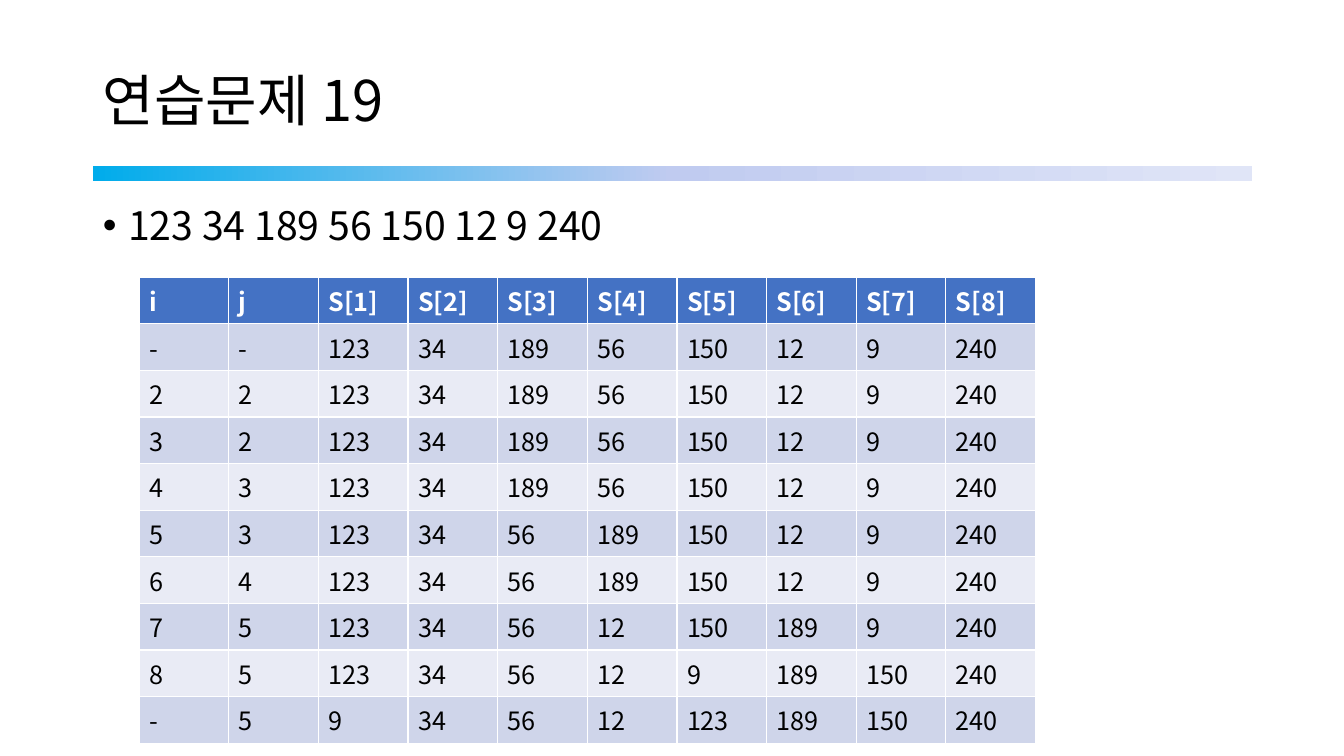
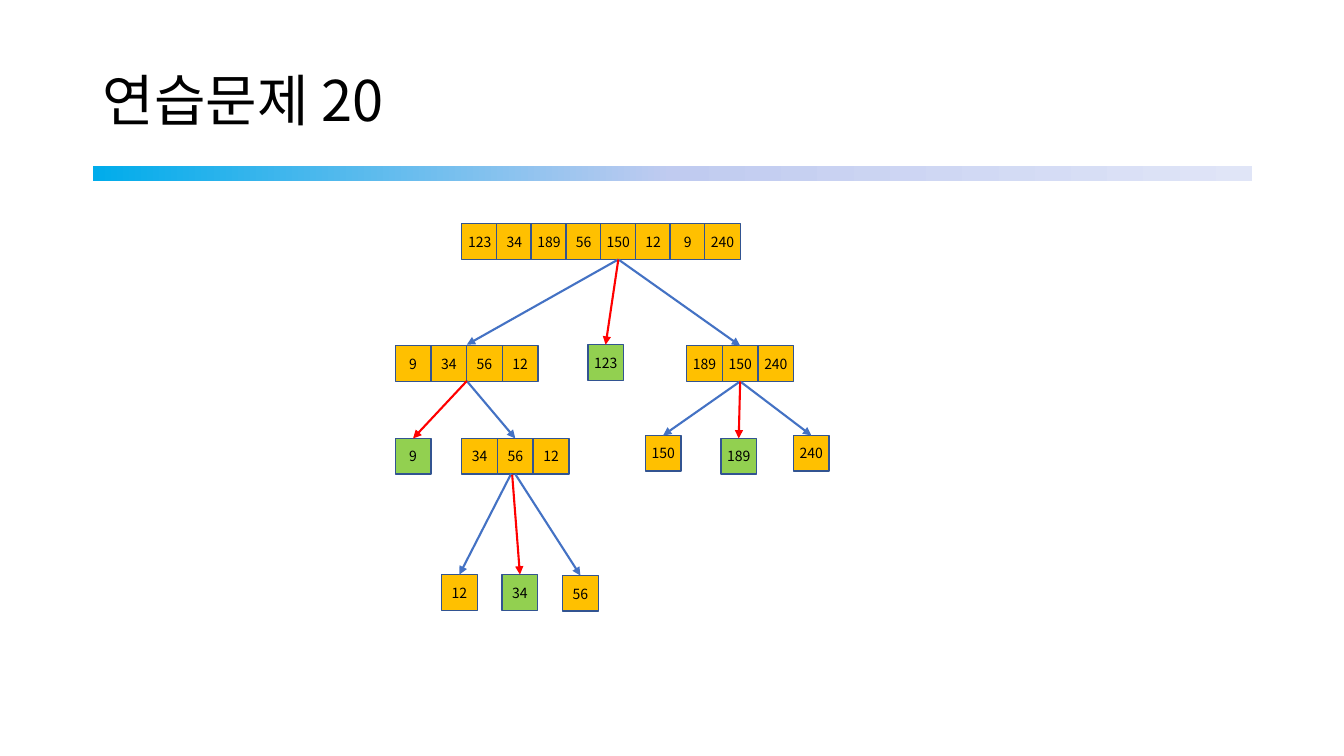
from copy import deepcopy
from dataclasses import dataclass

from lxml.etree import SubElement
from pptx import Presentation
from pptx.dml.color import RGBColor
from pptx.enum.shapes import MSO_CONNECTOR as Connector, MSO_SHAPE as Shape
from pptx.enum.text import MSO_ANCHOR as Anchor, MSO_AUTO_SIZE as AutoSize, PP_ALIGN as Align
from pptx.oxml.ns import qn
from pptx.util import Inches, Pt


@dataclass(frozen=True)
class Theme:
    font: str = "Noto Sans CJK KR"
    ink: str = "000000"
    white: str = "FFFFFF"
    band: tuple = ((0, "00ACEB"), (0.5, "C0CBF0"), (1, "E0E5F7"))
    header: str = "4472C4"
    stripes: tuple = ("CFD5EA", "E9EBF5")
    box: str = "FFC000"
    pivot: str = "92D050"
    outline: str = "325491"
    branch: str = "4472C4"
    pivot_branch: str = "FF0000"
    title_size: int = 40
    body_size: int = 28
    table_size: int = 18
    box_size: int = 10


def grid(steps):
    """Length of a number of grid steps, ten to the inch."""
    return Inches(steps / 10)


def color(value):
    return RGBColor.from_string(value)


class Deck:
    LEFT, WIDTH = 9.2, 115
    BOX = 3.54

    def __init__(self, theme):
        self.theme = theme
        self.presentation = Presentation()
        self.presentation.slide_width = Inches(13.33)
        self.presentation.slide_height = Inches(7.5)
        self.layout = self.presentation.slide_layouts[1]
        self.slide = None
        self.place_layout()

    def place_layout(self):
        """Title and body areas that every slide inherits."""
        title, body = list(self.layout.placeholders)[:2]
        for placeholder, top, height in ((title, 4, 12.5), (body, 20, 47.6)):
            placeholder.left, placeholder.top = grid(self.LEFT), grid(top)
            placeholder.width, placeholder.height = grid(self.WIDTH), grid(height)

    def style(self, paragraph, size, ink=None, bold=False):
        font = paragraph.font
        font.name, font.size, font.bold = self.theme.font, Pt(size), bold
        font.color.rgb = color(ink or self.theme.ink)
        # East Asian text needs its own typeface entry
        properties = paragraph._p.get_or_add_pPr().find(qn("a:defRPr"))
        SubElement(properties, qn("a:ea"), typeface=self.theme.font)

    def fill_placeholder(self, placeholder, text, size, anchor):
        frame = placeholder.text_frame
        frame.text = text
        frame.auto_size = AutoSize.NONE
        frame.vertical_anchor = anchor
        paragraph = frame.paragraphs[0]
        paragraph.alignment = Align.LEFT
        paragraph.line_spacing = 0.9
        self.style(paragraph, size)
        return paragraph

    def add_slide(self, title, body=None):
        first = self.slide is None
        self.slide = self.presentation.slides.add_slide(self.layout)
        if first:
            self.add_band()
        self.fill_placeholder(self.slide.shapes.title, title, self.theme.title_size, Anchor.MIDDLE)
        placeholder = self.slide.placeholders[1]
        if body is None:
            placeholder.element.getparent().remove(placeholder.element)
            return
        paragraph = self.fill_placeholder(placeholder, body, self.theme.body_size, Anchor.TOP)
        paragraph.space_before = Pt(10)
        properties = paragraph._p.get_or_add_pPr()
        properties.set("marL", str(Inches(0.25)))
        properties.set("indent", str(-Inches(0.25)))

    def add_band(self):
        """Gradient band, moved to the layout so that all slides show it."""
        band = self.slide.shapes.add_shape(
            Shape.RECTANGLE, grid(self.LEFT), grid(16.5), grid(self.WIDTH), grid(1.5))
        band.shadow.inherit = False
        band.line.fill.background()
        band.fill.gradient()
        band.fill.gradient_angle = 0
        stops = band.element.find(".//" + qn("a:gsLst"))
        stops.insert(1, deepcopy(stops[0]))
        for stop, (position, value) in zip(band.fill.gradient_stops, self.theme.band):
            stop.position = position
            stop.color.rgb = color(value)
        self.layout.shapes.element.append(band.element)

    def add_table(self, rows, left, top, width, height):
        table = self.slide.shapes.add_table(
            len(rows), len(rows[0]), grid(left), grid(top), grid(width), grid(height)).table
        for row_index, values in enumerate(rows):
            heading = row_index == 0
            fill = self.theme.header if heading else self.theme.stripes[(row_index - 1) % 2]
            ink = self.theme.white if heading else self.theme.ink
            for column_index, value in enumerate(values):
                cell = table.cell(row_index, column_index)
                cell.fill.solid()
                cell.fill.fore_color.rgb = color(fill)
                cell.text = value
                self.style(cell.text_frame.paragraphs[0], self.theme.table_size, ink, heading)

    def add_boxes(self, values, left, top, fill=None, pitch=BOX):
        """A row of touching boxes, one for each value."""
        return [self.add_box(value, left + index * pitch, top, fill or self.theme.box)
                for index, value in enumerate(values.split())]

    def add_box(self, value, left, top, fill):
        box = self.slide.shapes.add_shape(
            Shape.RECTANGLE, grid(left), grid(top), grid(self.BOX), grid(self.BOX))
        box.shadow.inherit = False
        box.fill.solid()
        box.fill.fore_color.rgb = color(fill)
        box.line.color.rgb = color(self.theme.outline)
        box.line.width = Pt(1)
        frame = box.text_frame
        frame.margin_left = frame.margin_right = frame.margin_top = frame.margin_bottom = Inches(0.04)
        frame.vertical_anchor = Anchor.MIDDLE
        frame.text = value
        frame.paragraphs[0].alignment = Align.CENTER
        self.style(frame.paragraphs[0], self.theme.box_size)
        return box

    def add_arrow(self, start, end, line_color):
        """Arrow from a box's bottom or a grid point to a box's top or a grid point."""
        arrow = self.slide.shapes.add_connector(Connector.STRAIGHT, 0, 0, 0, 0)
        if isinstance(start, tuple):
            arrow.begin_x, arrow.begin_y = map(grid, start)
        else:
            arrow.begin_connect(start, 2)
        if isinstance(end, tuple):
            arrow.end_x, arrow.end_y = map(grid, end)
        else:
            arrow.end_connect(end, 0)
        arrow.line.color.rgb = color(line_color)
        arrow.line.width = Pt(1.5)
        SubElement(arrow.line._get_or_add_ln(), qn("a:tailEnd"), type="triangle")
        SubElement(arrow.element.spPr, qn("a:effectLst"))


PARTITION_STEPS = """
i j S[1] S[2] S[3] S[4] S[5] S[6] S[7] S[8]
- - 123 34 189 56 150 12 9 240
2 2 123 34 189 56 150 12 9 240
3 2 123 34 189 56 150 12 9 240
4 3 123 34 189 56 150 12 9 240
5 3 123 34 56 189 150 12 9 240
6 4 123 34 56 189 150 12 9 240
7 5 123 34 56 12 150 189 9 240
8 5 123 34 56 12 9 189 150 240
- 5 9 34 56 12 123 189 150 240
"""
NUMBERS = "123 34 189 56 150 12 9 240"


def add_partition_slide(deck):
    deck.add_slide("연습문제 19", NUMBERS)
    rows = [line.split() for line in PARTITION_STEPS.strip().splitlines()]
    deck.add_table(rows, 13.8, 27.5, 88.9, 40.4)


def add_tree_slide(deck):
    deck.add_slide("연습문제 20")
    theme = deck.theme
    # Boxes, level by level
    root = deck.add_boxes(NUMBERS, 45.8, 22.2, pitch=3.44)
    deck.add_boxes("9 34 56 12", 39.2, 34.3)
    upper = deck.add_boxes("189 150 240", 68.1, 34.3)
    middle = deck.add_boxes("34 56 12", 45.8, 43.5)
    leaf_150, leaf_240, leaf_12, leaf_56 = [
        deck.add_boxes(value, left, top)[0] for value, left, top in (
            ("150", 64, 43.2), ("240", 78.7, 43.2), ("12", 43.8, 57), ("56", 55.8, 57.1))]
    pivot_123, pivot_9, pivot_189, pivot_34 = [
        deck.add_boxes(value, left, top, theme.pivot)[0] for value, left, top in (
            ("123", 58.3, 34.2), ("9", 39.2, 43.5), ("189", 71.5, 43.5), ("34", 49.8, 57))]
    # Arrows to the parts, then to the pivots
    lower_top, lower_bottom = (46.3, 34.2), (46.3, 37.8)
    for start, end in ((root[4], lower_top), (root[4], upper[1]),
                       (lower_bottom, middle[1]),
                       (upper[1], leaf_150), (upper[1], leaf_240),
                       ((50.7, 47), leaf_12), (middle[1], leaf_56)):
        deck.add_arrow(start, end, theme.branch)
    for start, end in ((root[4], pivot_123), (lower_bottom, pivot_9),
                       (upper[1], pivot_189), ((50.8, 47.1), pivot_34)):
        deck.add_arrow(start, end, theme.pivot_branch)


def main():
    deck = Deck(Theme())
    add_partition_slide(deck)
    add_tree_slide(deck)
    deck.presentation.save("out.pptx")


if __name__ == "__main__":
    main()
